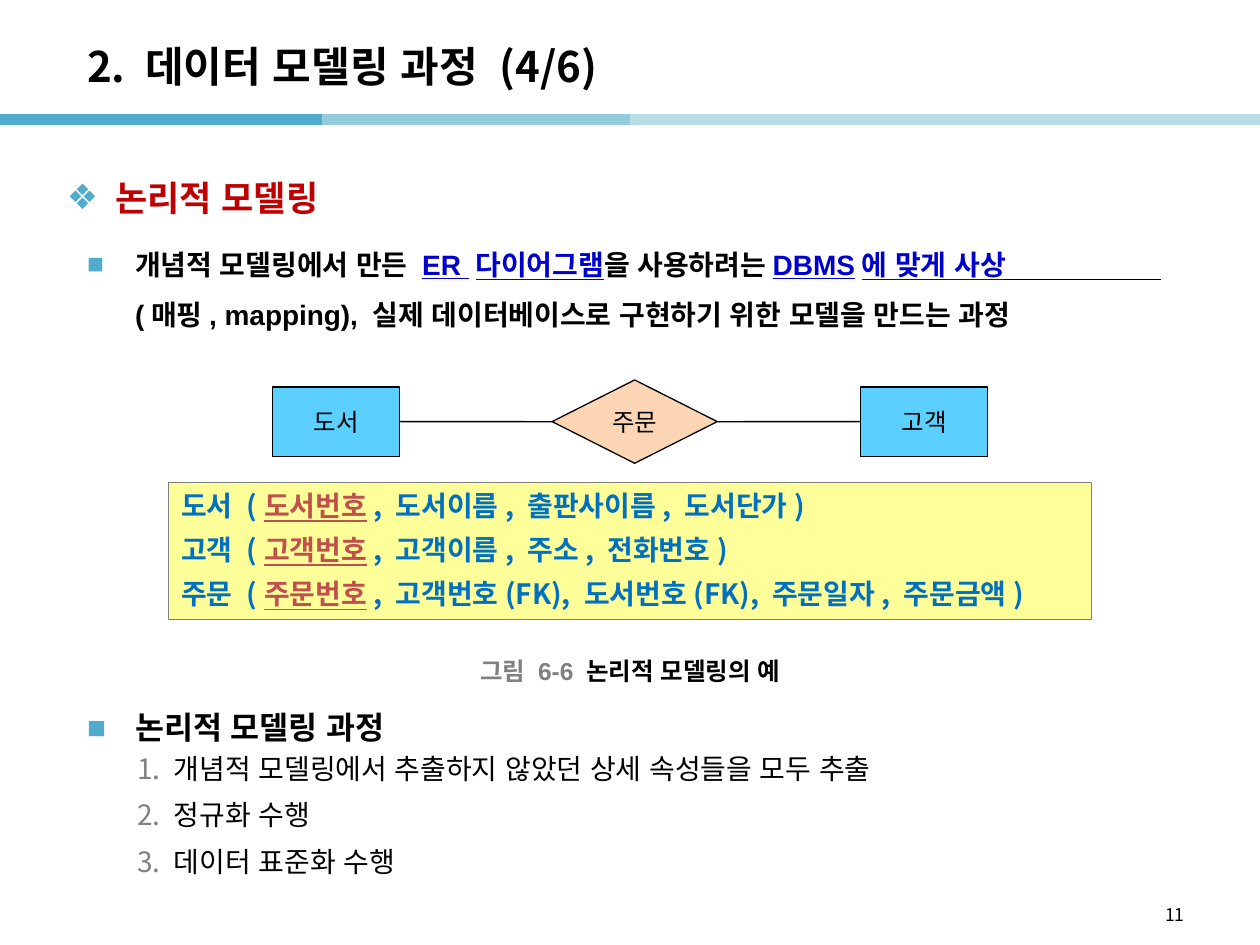
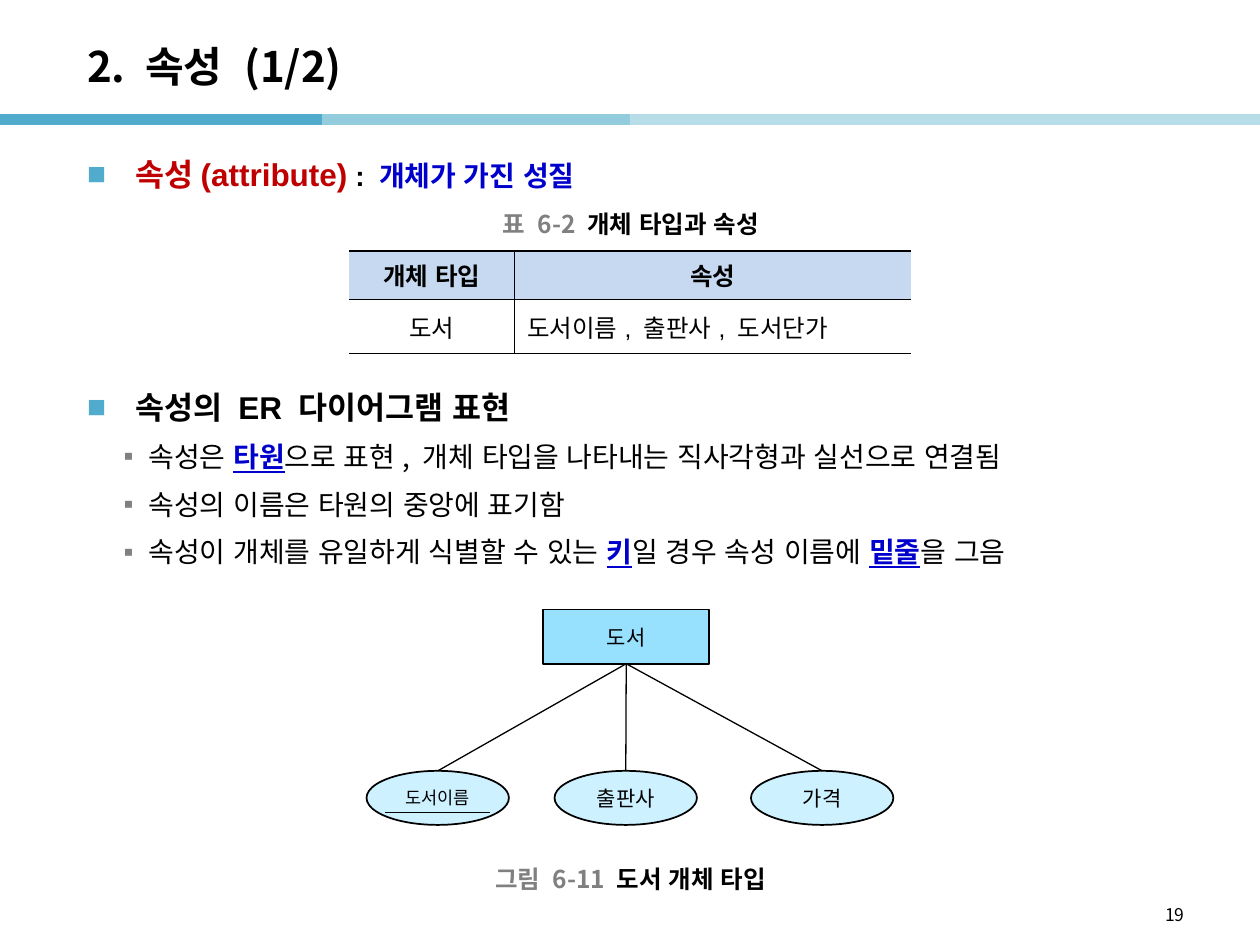
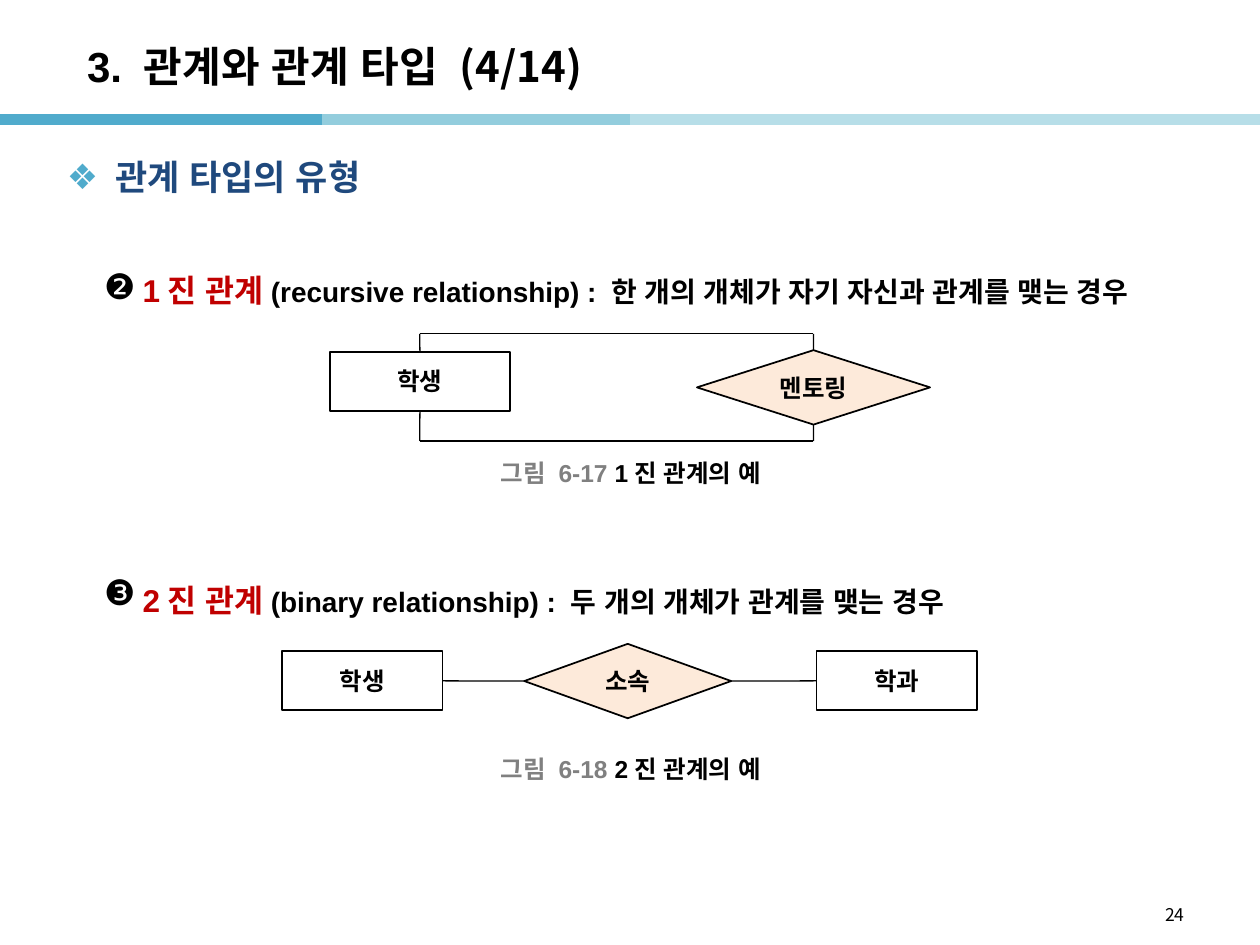
from copy import deepcopy
from lxml import etree
from pptx import Presentation
from pptx import util as u
from pptx.dml import color as col
from pptx.enum import lang, shapes, text
from pptx.oxml import ns

INK = {
    "black": "000000", "white": "FFFFFF", "gray": "808080", "red": "C00000",
    "blue": "0000CC", "navy": "1F497D", "sky": "0070C0", "rust": "C0504D",
    "teal": "50ABCC", "mid": "93CDDD", "pale": "B7DEE8", "note": "FFFF99",
    "book": "5BD0FF", "order": "FCD5B5", "type": "97E1FF", "trait": "CDF1FF",
    "peach": "FDEADA", "head": "C6D9F1",
}
NOTO, ARIAL = "Noto Sans CJK KR", "Arial"
LEFT, MID, RIGHT, JUST = (text.PP_ALIGN.LEFT, text.PP_ALIGN.CENTER,
                          text.PP_ALIGN.RIGHT, text.PP_ALIGN.JUSTIFY)
BOX, OVAL = shapes.MSO_SHAPE.RECTANGLE, shapes.MSO_SHAPE.OVAL
GEM, CHOICE = shapes.MSO_SHAPE.DIAMOND, shapes.MSO_SHAPE.FLOWCHART_DECISION
TOP, WEST, BASE, EAST = range(4)


def style(size, ink="black", name=NOTO, bold=False, line=False):
    return {"size": u.Pt(size), "name": name, "bold": bold,
            "underline": line, "ink": ink}


def para(*runs, mark=None, hue="teal", edge=0, hang=0, **form):
    return {"runs": runs, "mark": mark, "hue": hue,
            "edge": edge, "hang": hang, "form": form}


def put(item, form):
    for key, value in form.items():
        setattr(item, key, value)


def rgb(ink):
    return col.RGBColor.from_string(INK[ink])


def sub(node, tag, **attrs):
    return etree.SubElement(node, ns.qn(tag), attrs)


class Deck:
    def __init__(self):
        self.show = Presentation()
        put(self.show, {"slide_width": u.Cm(25.4), "slide_height": u.Cm(19.05)})
        self.slide = None

    def page(self, number, title):
        self.slide = self.show.slides.add_slide(self.show.slide_layouts[1])
        edges = (0, 6.5, 12.7, 25.4)
        for left, right, ink in zip(edges, edges[1:], ("teal", "mid", "pale")):
            self.line((left, 2.41), (right, 2.41), ink, 6)
        self.place(self.slide.shapes.title, (1.5, 0.56, 21, 1.52))
        self.words(self.slide.shapes.title, [para(*title)],
                   vertical_anchor=text.MSO_ANCHOR.MIDDLE)
        self.label((18.2, 18.1, 5.93, 0.7),
                   [para((number, style(10)), alignment=RIGHT)])

    def place(self, shape, at):
        put(shape, dict(zip(("left", "top", "width", "height"), map(u.Cm, at))))

    def words(self, shape, paras, **form):
        frame = shape.text_frame
        put(frame, {"word_wrap": True, "auto_size": text.MSO_AUTO_SIZE.NONE, **form})
        self.fill(frame, paras)

    def fill(self, frame, paras):
        for i, item in enumerate(paras):
            line = frame.add_paragraph() if i else frame.paragraphs[0]
            props = line._p.get_or_add_pPr()
            props.set("marL", str(u.Cm(item["edge"])))
            props.set("indent", str(-u.Cm(item["hang"])))
            if item["mark"]:
                sub(sub(props, "a:buClr"), "a:srgbClr", val=INK[item["hue"]])
                if item["mark"] == "1.":
                    sub(props, "a:buFont", typeface=NOTO)
                    sub(props, "a:buAutoNum", type="arabicPeriod")
                else:
                    sub(props, "a:buFont", typeface=ARIAL)
                    sub(props, "a:buChar", char=item["mark"])
            else:
                sub(props, "a:buNone")
            put(line, {"alignment": LEFT, "space_before": u.Pt(0),
                       "space_after": u.Pt(0), **item["form"]})
            for words, look in item["runs"]:
                self.run(line, words, look)

    def run(self, line, words, look):
        if words == "\n":
            last = line.runs[-1]._r.rPr
            line.add_line_break()
            line._p[-1].append(deepcopy(last))
            return
        run = line.add_run()
        run.text = words
        put(run.font, {k: v for k, v in look.items() if k != "ink"})
        run.font.language_id = lang.MSO_LANGUAGE_ID.KOREAN
        run.font.color.rgb = rgb(look["ink"])
        sub(run._r.get_or_add_rPr(), "a:ea", typeface=NOTO)

    def body(self, at, paras):
        shape = self.slide.placeholders[1]
        self.place(shape, at)
        self.words(shape, paras, vertical_anchor=text.MSO_ANCHOR.TOP)

    def label(self, at, paras, **form):
        self.words(self.slide.shapes.add_textbox(*map(u.Cm, at)), paras, **form)

    def topic(self, words, ink, pitch):
        self.label((1.1, 3.02, 22.4, 1.5), [
            para((words, style(20, ink, ARIAL, True)), mark="❖", edge=0.97,
                 hang=0.97, line_spacing=u.Pt(pitch))])

    def caption(self, at, mark, words, name=NOTO):
        self.label(at, [para((mark + " ", style(14, "gray", name, True)),
                             (words, style(14, "black", name, True)),
                             alignment=MID)],
                   word_wrap=False, vertical_anchor=text.MSO_ANCHOR.MIDDLE)

    def shape(self, kind, at, ink, edge="black", weight=1):
        item = self.slide.shapes.add_shape(kind, *map(u.Cm, at))
        item.shadow.inherit = False
        item.fill.solid()
        item.fill.fore_color.rgb = rgb(ink)
        item.line.color.rgb = rgb(edge)
        item.line.width = u.Pt(weight)
        return item

    def node(self, kind, at, ink, words, look, weight=1):
        item = self.shape(kind, at, ink, weight=weight)
        self.words(item, [para((words, look), alignment=MID)],
                   vertical_anchor=text.MSO_ANCHOR.MIDDLE, margin_left=0,
                   margin_right=0, margin_top=0, margin_bottom=0)
        return item

    def line(self, start, end, ink="black", weight=0.75):
        item = self.slide.shapes.add_connector(
            shapes.MSO_CONNECTOR.STRAIGHT, *map(u.Cm, start + end))
        item.line.color.rgb = rgb(ink)
        item.line.width = u.Pt(weight)
        sub(item._element.spPr, "a:effectLst")
        return item

    def link(self, one, side, two, end):
        item = self.line((0, 0), (0, 0))
        item.begin_connect(one, side)
        item.end_connect(two, end)

    def table(self, at, cols, rows, cells):
        grid = self.slide.shapes.add_table(
            len(rows), len(cols), *map(u.Cm, (*at, sum(cols), sum(rows)))).table
        put(grid, {"first_row": False, "horz_banding": False})
        for i, width in enumerate(cols):
            grid.columns[i].width = u.Cm(width)
        for r, height in enumerate(rows):
            grid.rows[r].height = u.Cm(height)
            for c, (words, align) in enumerate(cells[r]):
                cell = grid.cell(r, c)
                drawn = {"L": c > 0, "R": c < len(cols) - 1, "T": True, "B": True}
                for side, seen in drawn.items():
                    edge = sub(cell._tc.get_or_add_tcPr(), "a:ln" + side,
                               w=str(u.Pt(1)))
                    if seen:
                        sub(sub(edge, "a:solidFill"), "a:srgbClr", val=INK["black"])
                    else:
                        sub(edge, "a:noFill")
                cell.fill.solid()
                cell.fill.fore_color.rgb = rgb("white" if r else "head")
                cell.vertical_anchor = text.MSO_ANCHOR.MIDDLE
                look = style(14, name=ARIAL, bold=r == 0)
                self.fill(cell.text_frame, [para((words, look), alignment=align)])


HEAD = style(24, bold=True)
BOLD, PLAIN = style(16, name=ARIAL, bold=True), style(16)
LARGE = style(18, name=ARIAL, bold=True)
ALERT = style(18, "red", ARIAL, True)
BLUE = style(16, "blue", ARIAL, True)
KEY = style(16, "blue", ARIAL, True, True)
TAG = style(14, name=ARIAL, bold=True)
SQUARE = {"mark": "■", "edge": 0.97, "hang": 0.97}


def model(deck):
    deck.page("11", [("2. 데이터 모델링 과정 (4/6)", HEAD)])
    deck.topic("논리적 모델링", "red", 36)
    step = {"mark": "1.", "hue": "gray", "edge": 1.75, "hang": 0.74,
            "line_spacing": u.Pt(19.2), "space_before": u.Pt(3.2),
            "space_after": u.Pt(4)}
    steps = ("개념적 모델링에서 추출하지 않았던 상세 속성들을 모두 추출",
             "정규화 수행", "데이터 표준화 수행")
    deck.body((1.5, 4.52, 22.4, 14), [
        para(("개념적 모델링에서 만든 ", BOLD), ("ER 다이어그램", KEY),
             ("을 사용하려는", BOLD), ("DBMS에 맞게 사상", KEY), ("\n", KEY),
             ("(매핑, mapping), 실제 데이터베이스로 구현하기 위한 모델을 만드는 과정", BOLD),
             line_spacing=u.Pt(28.8), **SQUARE),
        para(("논리적 모델링 과정", LARGE), line_spacing=u.Pt(32),
             space_before=u.Pt(205), **SQUARE),
        *[para((words, PLAIN), **step) for words in steps]])
    deck.line((20.24, 5.63), (23.4, 5.63))
    sky = style(16, "sky", bold=True)
    rust = style(16, "rust", bold=True, line=True)
    plans = (("도서", "도서번호", ", 도서이름, 출판사이름, 도서단가)"),
             ("고객", "고객번호", ", 고객이름, 주소, 전화번호)"),
             ("주문", "주문번호", ", 고객번호(FK), 도서번호(FK), 주문일자, 주문금액)"))
    note = deck.shape(BOX, (3.4, 9.73, 18.6, 2.75), "note", "gray", 0.25)
    deck.words(note, [
        para((name + " (", sky), (key, rust), (rest, sky),
             line_spacing=u.Pt(19.2), space_after=u.Pt(6))
        for name, key, rest in plans], vertical_anchor=text.MSO_ANCHOR.TOP)
    look = style(14)
    book, buyer = [deck.node(BOX, (x, 7.8, 2.56, 1.4), "book", words, look, 0.75)
                   for x, words in ((5.5, "도서"), (17.35, "고객"))]
    order = deck.node(GEM, (11.13, 7.66, 3.33, 1.68), "order", "주문", look, 0.75)
    deck.link(book, EAST, order, WEST)
    deck.link(order, EAST, buyer, WEST)
    deck.caption((9.04, 12.93, 7.34, 1.19), "그림 6-6", "논리적 모델링의 예", ARIAL)


def trait(deck):
    deck.page("19", [("2. 속성 (1/2)", HEAD)])
    dot = {"mark": "▪", "hue": "gray", "edge": 1.24, "hang": 0.5,
           "alignment": JUST, "line_spacing": u.Pt(19.2), "space_before": u.Pt(8)}
    deck.body((1.5, 3.02, 22.4, 15.19), [
        para(("속성(attribute)", ALERT), (" : ", BOLD), ("개체가 가진 성질", BLUE),
             line_spacing=u.Pt(21), **SQUARE),
        para(("속성의 ER 다이어그램 표현", LARGE), line_spacing=u.Pt(21),
             space_before=u.Pt(112), **SQUARE),
        para(("속성은 ", PLAIN), ("타원", KEY),
             ("으로 표현, 개체 타입을 나타내는 직사각형과 실선으로 연결됨", PLAIN), **dot),
        para(("속성의 이름은 타원의 중앙에 표기함", PLAIN), **dot),
        para(("속성이 개체를 유일하게 식별할 수 있는 ", PLAIN), ("키", KEY),
             ("일 경우 속성 이름에 ", PLAIN), ("밑줄", KEY), ("을 그음", PLAIN), **dot)])
    deck.caption((10.06, 4.11, 5.31, 0.79), "표 6-2", "개체 타입과 속성")
    deck.table((7.04, 5.06), (3.33, 8), (0.97, 1.09), (
        (("개체 타입", MID), ("속성", MID)),
        (("도서", MID), ("도서이름, 출판사, 도서단가", LEFT))))
    book = deck.node(BOX, (10.95, 12.29, 3.35, 1.09), "type", "도서", style(12))
    for x, words, size in ((7.39, "도서이름", 10), (11.18, "출판사", 12),
                           (15.14, "가격", 12)):
        oval = deck.node(OVAL, (x, 15.54, 2.87, 1.09), "trait", words, style(size))
        deck.link(book, BASE, oval, TOP)
    deck.line((7.77, 16.38), (9.88, 16.38), weight=1)
    deck.caption((10.11, 17.32, 5.21, 0.79), "그림 6-11", "도서 개체 타입")


def relate(deck):
    deck.page("24", [("3. 관계와 관계 타입", style(24, name=ARIAL, bold=True)),
                     (" (4/14)", HEAD)])
    deck.topic("관계 타입의 유형", "navy", 24)
    kinds = (("1진 관계", "(recursive relationship) : 한 개의 개체가 자기 자신과 관계를 맺는 경우", 0),
             ("2진 관계", "(binary relationship) : 두 개의 개체가 관계를 맺는 경우", 146))
    deck.body((1.5, 5, 23, 13.41), [
        para((name, ALERT), (rest, BOLD), edge=1.12, line_spacing=u.Pt(31),
             space_before=u.Pt(gap)) for name, rest, gap in kinds])
    for y, sign in ((5.36, "❷"), (11.53, "❸")):
        deck.label((1.85, y, 1.2, 0.79), [para((sign, style(20, name=ARIAL)))],
                   word_wrap=False, vertical_anchor=text.MSO_ANCHOR.MIDDLE)

    pupil = deck.node(BOX, (6.65, 7.09, 3.63, 1.19), "white", "학생", TAG)
    mentor = deck.node(CHOICE, (14.05, 7.06, 4.7, 1.5), "peach", "멘토링", TAG)
    ends = ((pupil, 8.46), (mentor, 16.4))
    for y, side in ((6.73, TOP), (8.89, BASE)):
        deck.line((8.46, y), (16.4, y))
        for item, x in ends:
            deck.line((x, y), (x, y)).end_connect(item, side)
    deck.caption((10.11, 9.14, 5.21, 0.79), "그림 6-17", "1진 관계의 예", ARIAL)

    pupil, major = [deck.node(BOX, (x, 13.13, 3.23, 1.19), "white", words, TAG)
                    for x, words in ((5.69, "학생"), (16.46, "학과"))]
    member = deck.node(CHOICE, (10.57, 12.98, 4.17, 1.5), "peach", "소속", TAG)
    deck.link(pupil, EAST, member, WEST)
    deck.link(member, EAST, major, WEST)
    deck.caption((10.11, 15.11, 5.21, 0.79), "그림 6-18", "2진 관계의 예", ARIAL)


def main():
    deck = Deck()
    for build in (model, trait, relate):
        build(deck)
    deck.show.save("out.pptx")


if __name__ == "__main__":
    main()
